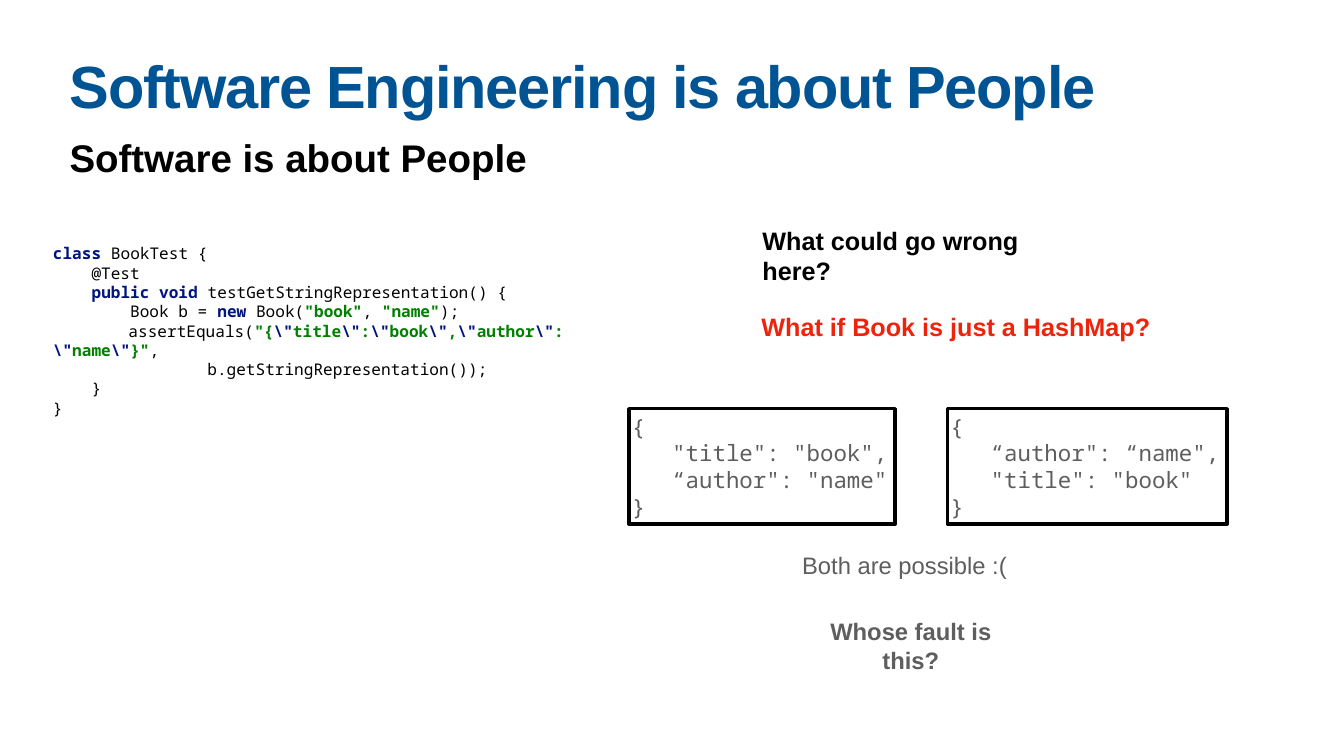
from dataclasses import dataclass
from typing import Any

from pptx import Presentation
from pptx import util as u
from pptx.dml import color
from pptx.enum import shapes, text

BLACK, GREY, BLUE, RED = "000000", "5E5E5E", "005493", "EE230C"
KEYWORD, LITERAL = "011480", "018001"
SANS, MONO = "Arial", "Noto Sans Mono"


def rgb(value):
    """Turn a hex string into a colour."""
    return color.RGBColor.from_string(value)


@dataclass
class Painter:
    """Holds the text style and the slide being filled."""
    slide: Any
    inset: float = 0.06

    def prepare(self, box, wrap, anchor):
        """Set the margins, wrapping and anchor of a box."""
        frame = box.text_frame
        frame.margin_left = frame.margin_right = u.Inches(self.inset)
        frame.margin_top = frame.margin_bottom = u.Inches(self.inset)
        frame.word_wrap = wrap
        frame.vertical_anchor = anchor
        if not wrap:
            frame.auto_size = text.MSO_AUTO_SIZE.SHAPE_TO_FIT_TEXT
        return frame

    def style(self, span, size, font, ink, bold):
        """Format one run."""
        span.font.size = u.Pt(size)
        span.font.name = font
        span.font.bold = bold
        span.font.color.rgb = rgb(ink)

    def label(self, place, words, size, ink=BLACK, bold=True, wrap=False,
              anchor=text.MSO_ANCHOR.MIDDLE, align=text.PP_ALIGN.LEFT):
        """Add a one-paragraph text box."""
        box = self.slide.shapes.add_textbox(*map(u.Inches, place))
        frame = self.prepare(box, wrap, anchor)
        frame.text = words
        para = frame.paragraphs[0]
        para.alignment = align
        self.style(para.runs[0], size, SANS, ink, bold)
        return para

    def code(self, place, lines, size):
        """Add a listing whose lines are lists of text and ink pairs."""
        box = self.slide.shapes.add_textbox(*map(u.Inches, place))
        frame = self.prepare(box, False, text.MSO_ANCHOR.MIDDLE)
        for number, line in enumerate(lines):
            para = frame.add_paragraph() if number else frame.paragraphs[0]
            for words, ink in line:
                span = para.add_run()
                span.text = words
                self.style(span, size, MONO, ink, ink != BLACK)
        return frame

    def json_box(self, place, words, size):
        """Add an outlined rectangle with a JSON object."""
        box = self.slide.shapes.add_shape(
            shapes.MSO_SHAPE.RECTANGLE, *map(u.Inches, place))
        box.shadow.inherit = False
        box.fill.background()
        box.line.color.rgb = rgb(BLACK)
        box.line.width = u.Pt(5)
        frame = self.prepare(box, False, text.MSO_ANCHOR.MIDDLE)
        frame.text = words
        for para in frame.paragraphs:
            para.alignment = text.PP_ALIGN.LEFT
            self.style(para.runs[0], size, MONO, GREY, False)


def escaped(literal):
    """Split a string literal into plain parts and escaped quotes."""
    mark = '\\"'
    spans = []
    for number, part in enumerate(literal.split(mark)):
        if number:
            spans.append((mark, KEYWORD))
        spans.append((part, LITERAL))
    return spans


def main():
    """Build the slide and save it."""
    deck = Presentation()
    deck.slide_width, deck.slide_height = u.Inches(26.67), u.Inches(15)
    page = Painter(deck.slides.add_slide(deck.slide_layouts[6]))

    title = page.label((1.32, 1.18, 24.03, 1.57), "Software Engineering is about People",
                       85, BLUE, wrap=True, anchor=text.MSO_ANCHOR.TOP)
    title.line_spacing = 0.8
    title.runs[0].font._element.set("spc", "-170")
    page.label((1.32, 2.6, 24.03, 1.02), "Software is about People", 55,
               wrap=True, anchor=text.MSO_ANCHOR.TOP)

    listing = page.code((0.99, 4.75, 12.36, 3.62), [
        [("class ", KEYWORD), ("BookTest {", BLACK)],
        [("    @Test", BLACK)],
        [("    ", BLACK), ("public void ", KEYWORD),
         ("testGetStringRepresentation() {", BLACK)],
        [("        Book b = ", BLACK), ("new ", KEYWORD), ("Book(", BLACK),
         ('"book"', LITERAL), (", ", BLACK), ('"name"', LITERAL), (");", BLACK)],
        [("assertEquals(", BLACK),
         *escaped(r'"{\"title\":\"book\",\"author\":\"name\"}"'), (",", BLACK)],
        [("                b.getStringRepresentation());", BLACK)],
        [("    }", BLACK)],
        [("}", BLACK)],
    ], 23)
    listing.paragraphs[4]._p.get_or_add_pPr().set("indent", str(u.Inches(1.5)))

    page.label((15.07, 4.72, 6.68, 0.71), "What could go wrong here?", 36)
    page.label((15.05, 6.12, 7.85, 0.71), "What if Book is just a HashMap?", 36, RED)

    page.json_box((12.48, 8.11, 5.28, 2.29),
                  '{\n   "title": "book",\n   “author": "name"\n}', 32)
    page.json_box((18.8, 8.11, 5.55, 2.29),
                  '{\n   “author": “name",\n   "title": "book"\n}', 32)

    center = text.PP_ALIGN.CENTER
    page.label((15.85, 10.88, 4.2, 0.65), "Both are possible :(", 34, GREY, False, align=center)
    page.label((15.82, 12.47, 4.51, 0.67), "Whose fault is this?", 34, GREY, align=center)
    deck.save("out.pptx")


if __name__ == "__main__":
    main()
